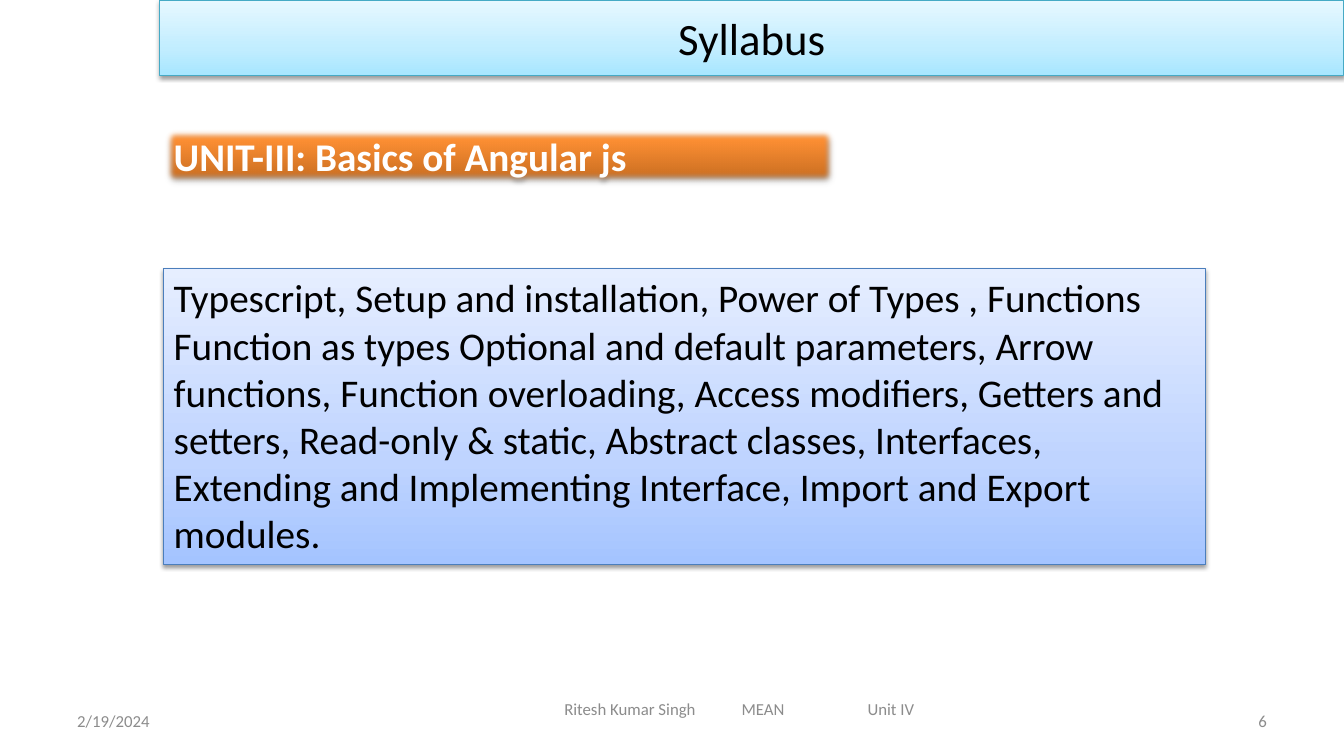
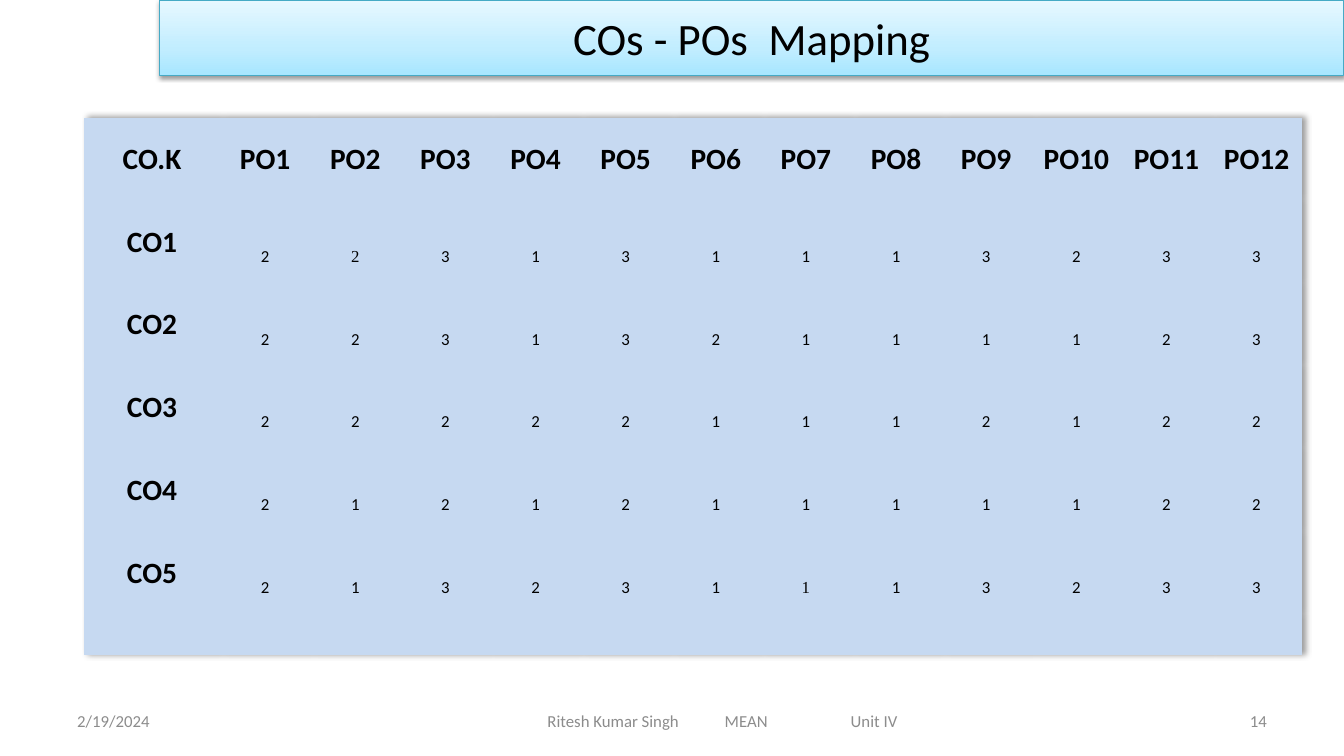
from copy import deepcopy

from pptx import Presentation
from pptx.dml.color import RGBColor
from pptx.enum.shapes import MSO_SHAPE
from pptx.enum.text import MSO_ANCHOR, PP_ALIGN
from pptx.oxml import parse_xml
from pptx.oxml.ns import nsdecls, qn
from pptx.util import Inches, Pt

LEFT, CENTER, RIGHT, JUSTIFY = PP_ALIGN.LEFT, PP_ALIGN.CENTER, PP_ALIGN.RIGHT, PP_ALIGN.JUSTIFY
TOP, MIDDLE = MSO_ANCHOR.TOP, MSO_ANCHOR.MIDDLE
RECTANGLE = MSO_SHAPE.RECTANGLE

rgb = RGBColor.from_string
FONT = "Calibri"
BLACK, WHITE, GREY, PALE_BLUE = "000000", "FFFFFF", "8C8C8C", "C6D9F1"
AQUA = [(0, "A7E6FF"), (0.35, "C1EDFF"), (1, "E7F8FF")]
ORANGE = [(0, "C2691F"), (0.8, "FF9034"), (1, "FF9136")]
BLUE = [(0, "A4C4FF"), (0.35, "BFD4FF"), (1, "E6EEFF")]
AQUA_LINE, BLUE_LINE = "46AAC5", "4B7EBC"

# The slide is a grid of 80 columns by 45 rows
UNIT = Inches(1) / 6
TITLE_BAND = (9.5, 0, 70.5, 4.5)
FOOTER_TOP, FOOTER_HEIGHT = 41.7, 2.4
FOOTER_TABS = (10.55, 18.05)

SHADOW = ('<a:outerShdw %s blurRad="{blur}" dist="{dist}" dir="{angle}" rotWithShape="0">'
          '<a:srgbClr val="000000"><a:alpha val="38000"/></a:srgbClr></a:outerShdw>' % nsdecls("a"))


def write(frame, text, size, color, align=LEFT, anchor=MIDDLE, bold=False, font=FONT):
    frame.text = text
    frame.word_wrap = True
    frame.vertical_anchor = anchor
    paragraph = frame.paragraphs[0]
    paragraph.alignment = align
    for run in paragraph.runs:
        run.font.name, run.font.size, run.font.bold = font, Pt(size), bold
        run.font.color.rgb = rgb(color)


def add_panel(slide, at, stops, line=None):
    """Add a shadowed rectangle with a three-stop gradient running upwards."""
    panel = slide.shapes.add_shape(RECTANGLE, *[round(v * UNIT) for v in at])
    panel.fill.gradient()
    panel.fill.gradient_angle = 90
    properties = panel.fill._xPr
    stop_list = properties.find(".//" + qn("a:gsLst"))
    stop_list.append(deepcopy(stop_list[0]))
    for stop, (position, color) in zip(panel.fill.gradient_stops, stops):
        stop.position = position
        stop.color.rgb = rgb(color)
    if line:
        panel.line.color.rgb = rgb(line)
        panel.line.width = Pt(0.75)
    else:
        panel.line.fill.background()
    panel.shadow.inherit = False
    properties.find(qn("a:effectLst")).append(
        parse_xml(SHADOW.format(blur=Pt(3.1), dist=Pt(1.6), angle=5400000)))
    return panel


prs = Presentation()
prs.slide_width, prs.slide_height = round(80 * UNIT), round(45 * UNIT)

# Title band and footer of each slide: title, number, footer left and top
slides = []
for title, number, course_left, course_top in [
    ("Syllabus", "6", 33, 41),
    ("COs - POs  Mapping", "14", 32, FOOTER_TOP),
]:
    slide = prs.slides.add_slide(prs.slide_layouts[6])
    slides.append(slide)
    for text, left, top, width, align in [
        ("2/19/2024", 4, FOOTER_TOP, 18.7, LEFT),
        ("Ritesh Kumar Singh\tMEAN\tUnit IV", course_left, course_top, 24, LEFT),
        (number, 57.3, FOOTER_TOP, 18.7, RIGHT),
    ]:
        footer = slide.shapes.add_textbox(
            *[round(v * UNIT) for v in (left, top, width, FOOTER_HEIGHT)])
        write(footer.text_frame, text, 12, GREY, align)
        if "\t" in text:
            stops = "".join(f'<a:tab pos="{round(tab * UNIT)}" algn="l"/>' for tab in FOOTER_TABS)
            footer.text_frame.paragraphs[0]._p.get_or_add_pPr().append(
                parse_xml(f'<a:tabLst {nsdecls("a")}>{stops}</a:tabLst>'))
    write(add_panel(slide, TITLE_BAND, AQUA, AQUA_LINE).text_frame, title, 32, BLACK, CENTER)

syllabus, mapping = slides

# Syllabus
unit_heading = add_panel(syllabus, (9.75, 7.6, 40, 3.4), ORANGE)
write(unit_heading.text_frame, "UNIT-III: Basics of Angular js", 28, WHITE, JUSTIFY, TOP, True)
unit_heading.fill._xPr.find(qn("a:effectLst")).append(
    parse_xml(f'<a:softEdge {nsdecls("a")} rad="{Pt(5)}"/>'))

unit_topics = add_panel(syllabus, (9.75, 16, 62, 17.6), BLUE, BLUE_LINE)
write(unit_topics.text_frame,
      "Typescript, Setup and installation, Power of Types , Functions Function as types "
      "Optional and default parameters, Arrow functions, Function overloading, Access "
      "modifiers, Getters and setters, Read-only & static, Abstract classes, Interfaces, "
      "Extending and Implementing Interface, Import and Export modules.",
      28, BLACK, LEFT, TOP)

# Mapping of course outcomes to program outcomes
SCORES = [
    ("CO1", "223131113233"),
    ("CO2", "223132111123"),
    ("CO3", "222221112122"),
    ("CO4", "212121111122"),
    ("CO5", "213231113233"),
]
SERIF_CELLS = {(1, 2), (5, 7)}
grid = [["CO.K"] + [f"PO{n}" for n in range(1, 13)]]
grid += [[outcome, *scores] for outcome, scores in SCORES]
grid.append([""] * 13)

table_width, table_height, label_width = 72.5, 32, 8.1
row_height = table_height / 6.5
table = mapping.shapes.add_table(
    len(grid), len(grid[0]),
    *[round(v * UNIT) for v in (5, 7, table_width, table_height)]).table
table.first_row = table.horz_banding = False
table_properties = table._tbl.tblPr
table_properties.find(qn("a:tableStyleId")).text = "{2D5ABB26-0587-4C30-8999-92F81FD0307C}"
table_shadow = parse_xml(f'<a:effectLst {nsdecls("a")}/>')
table_shadow.append(parse_xml(SHADOW.format(blur=Pt(4), dist=Pt(3), angle=0)))
table_properties.insert(0, table_shadow)

for c, column in enumerate(table.columns):
    column.width = round((label_width if c == 0 else (table_width - label_width) / 12) * UNIT)
for r, values in enumerate(grid):
    table.rows[r].height = round(row_height * (1 if values[0] else 0.5) * UNIT)
    for c, value in enumerate(values):
        cell = table.cell(r, c)
        cell.fill.solid()
        cell.fill.fore_color.rgb = rgb(PALE_BLUE)
        if not value:
            continue
        heading = r == 0 or c == 0
        cell.vertical_anchor = MIDDLE
        if heading:
            cell.margin_left = cell.margin_right = cell.margin_top = Inches(0.01)
            cell.margin_bottom = 0
        else:
            cell.margin_top = Inches(0.35)
        write(cell.text_frame, value, 21 if heading else 12, BLACK, CENTER, MIDDLE, heading,
              "Times New Roman" if (r, c) in SERIF_CELLS else FONT)

prs.save("out.pptx")
